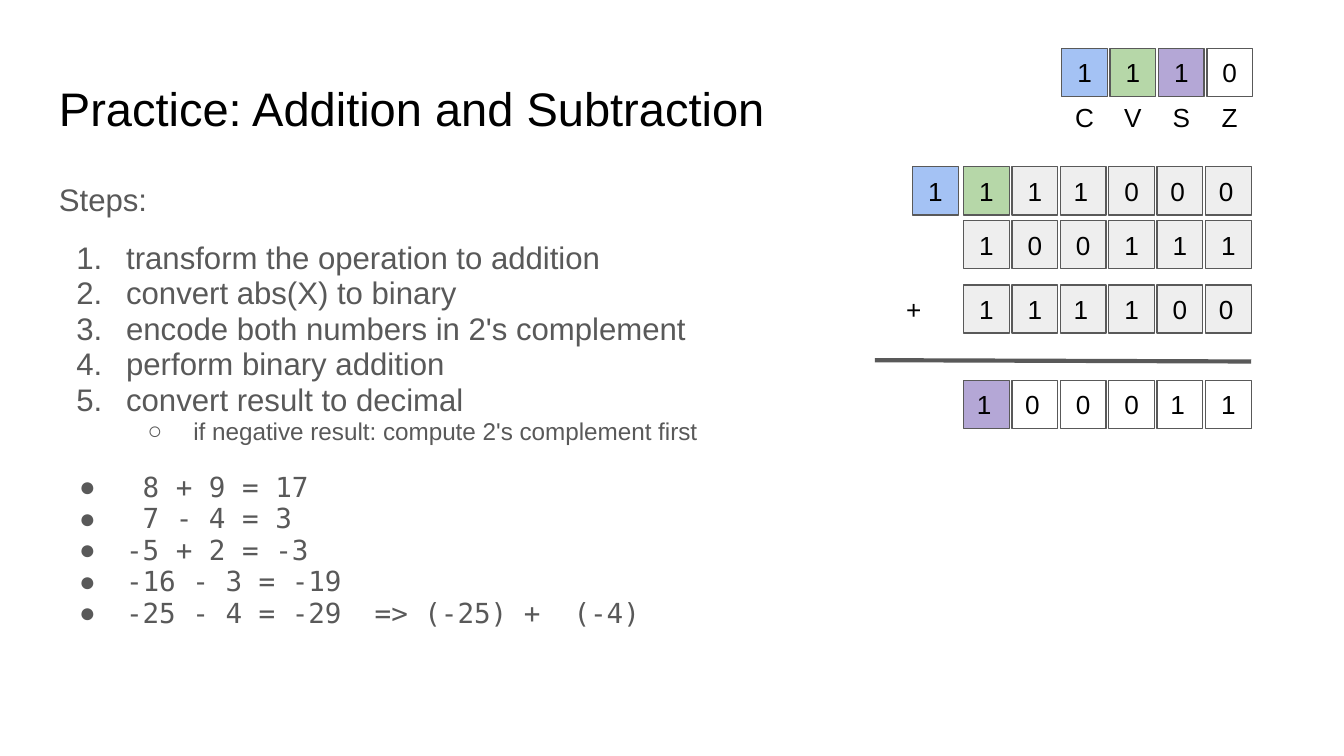
from lxml.etree import SubElement
from pptx import Presentation
from pptx.dml.color import RGBColor
from pptx.enum.shapes import MSO_CONNECTOR, MSO_SHAPE
from pptx.enum.text import MSO_ANCHOR, PP_ALIGN
from pptx.oxml.ns import qn
from pptx.util import Inches, Pt

COLORS = {
    "text": "000000", "body": "595959", "line": "595959",
    "white": "FFFFFF", "gray": "EEEEEE",
    "carry": "A4C2F4", "overflow": "B6D7A8", "sign": "B4A7D6",
}
SANS, MONO = "Arial", "DejaVu Sans Mono"
CELL_W, CELL_H, PITCH = 0.34, 0.36, 0.36
BITS_X, FLAGS_X, CARRY_X, PLUS_X = 7.17, 7.9, 6.79, 6.63
FLAGS_Y, LABELS_Y = 0.36, 0.69
CARRIES_Y, FIRST_Y, SECOND_Y, RESULT_Y = 1.24, 1.64, 2.12, 2.83
ALIGN = {"l": PP_ALIGN.LEFT, "c": PP_ALIGN.CENTER}

STEPS = [
    "transform the operation to addition",
    "convert abs(X) to binary",
    "encode both numbers in 2's complement",
    "perform binary addition",
    "convert result to decimal",
]
EXERCISES = [
    " 8 + 9 = 17",
    " 7 - 4 = 3",
    "-5 + 2 = -3",
    "-16 - 3 = -19",
    "-25 - 4 = -29  => (-25) +  (-4)",
]


def rgb(name):
    return RGBColor.from_string(COLORS[name])


def style(p, size, color="text", font=SANS):
    for r in p.runs:
        r.font.size = Pt(size)
        r.font.name = font
        r.font.color.rgb = rgb(color)


def set_frame(tf, anchor):
    tf.word_wrap = True
    tf.vertical_anchor = anchor
    tf.margin_left = tf.margin_right = Inches(0.1)
    tf.margin_top = tf.margin_bottom = Inches(0.1)


def add_text_box(s, x, y, w, h, text="", anchor=MSO_ANCHOR.TOP):
    sp = s.shapes.add_textbox(Inches(x), Inches(y), Inches(w), Inches(h))
    tf = sp.text_frame
    set_frame(tf, anchor)
    tf.text = text
    return tf


def add_cell(s, x, y, text, fill, align="c", outlined=True):
    sp = s.shapes.add_shape(MSO_SHAPE.RECTANGLE, Inches(x), Inches(y), Inches(CELL_W), Inches(CELL_H))
    sp.shadow.inherit = False
    sp.fill.solid()
    sp.fill.fore_color.rgb = rgb(fill)
    if outlined:
        sp.line.color.rgb = rgb("line")
        sp.line.width = Pt(0.75)
    else:
        sp.line.fill.background()
    tf = sp.text_frame
    set_frame(tf, MSO_ANCHOR.MIDDLE)
    tf.text = text
    p = tf.paragraphs[0]
    p.alignment = ALIGN[align]
    style(p, 14)


def add_bits(s, x, y, bits, fills, aligns="cccccc"):
    for i, (bit, fill, align) in enumerate(zip(bits, fills, aligns)):
        add_cell(s, x + i * PITCH, y, bit, fill, align)


def add_flags(s):
    add_bits(s, FLAGS_X, FLAGS_Y, "1110", ["carry", "overflow", "sign", "white"])
    for i, flag in enumerate("CVSZ"):
        tf = add_text_box(s, FLAGS_X + i * PITCH, LABELS_Y, CELL_W, CELL_H, flag, MSO_ANCHOR.MIDDLE)
        tf.paragraphs[0].alignment = PP_ALIGN.CENTER
        style(tf.paragraphs[0], 14)


def add_sum_line(s):
    line = s.shapes.add_connector(MSO_CONNECTOR.STRAIGHT, Inches(6.51), Inches(2.68), Inches(9.31), Inches(2.69))
    line.line.color.rgb = rgb("line")
    line.line.width = Pt(2.25)
    SubElement(line._element.spPr, qn("a:effectLst"))


def add_item(tf, text, size, bullet, indent, hang, font=SANS, before=0, level=0):
    p = tf.add_paragraph()
    p.text = text
    p.level = level
    p.line_spacing = 0.95
    p.space_before = Pt(before)
    style(p, size, "body", font)
    pPr = p._p.get_or_add_pPr()
    pPr.set("marL", str(Inches(indent)))
    pPr.set("indent", str(-Inches(hang)))
    SubElement(SubElement(pPr, qn("a:buClr")), qn("a:srgbClr"), val=COLORS["body"])
    SubElement(pPr, qn("a:buFont"), typeface=SANS)
    if bullet == "1.":
        SubElement(pPr, qn("a:buAutoNum"), type="arabicPeriod")
    else:
        SubElement(pPr, qn("a:buChar"), char=bullet)


def add_body(s):
    tf = add_text_box(s, 0.34, 1.26, 9.32, 3.74, "Steps:")
    tf.paragraphs[0].line_spacing = 0.95
    style(tf.paragraphs[0], 16.7, "body")
    for i, step in enumerate(STEPS):
        add_item(tf, step, 16.7, "1.", 0.5, 0.37, before=0 if i else 12)
    add_item(tf, "if negative result: compute 2's complement first", 13, "○", 1, 0.34, level=1)
    for i, exercise in enumerate(EXERCISES):
        add_item(tf, exercise, 14.8, "●", 0.5, 0.35, MONO, before=0 if i else 14)


def main():
    prs = Presentation()
    prs.slide_width = Inches(10)
    prs.slide_height = prs.slide_width * 9 // 16
    s = prs.slides.add_slide(prs.slide_layouts[6])

    title = add_text_box(s, 0.34, 0.49, 9.32, 0.63, "Practice: Addition and Subtraction")
    style(title.paragraphs[0], 25.2)
    add_body(s)

    add_flags(s)
    add_cell(s, CARRY_X, CARRIES_Y, "1", "carry")
    add_bits(s, BITS_X, CARRIES_Y, "111000", ["overflow"] + ["gray"] * 5, "cclcll")
    add_bits(s, BITS_X, FIRST_Y, "100111", ["gray"] * 6)
    add_cell(s, PLUS_X, SECOND_Y, "+", "white", outlined=False)
    add_bits(s, BITS_X, SECOND_Y, "111100", ["gray"] * 6, "cclccl")
    add_sum_line(s)
    add_bits(s, BITS_X, RESULT_Y, "100011", ["sign"] + ["white"] * 5, "llcclc")

    prs.save("out.pptx")


if __name__ == "__main__":
    main()
